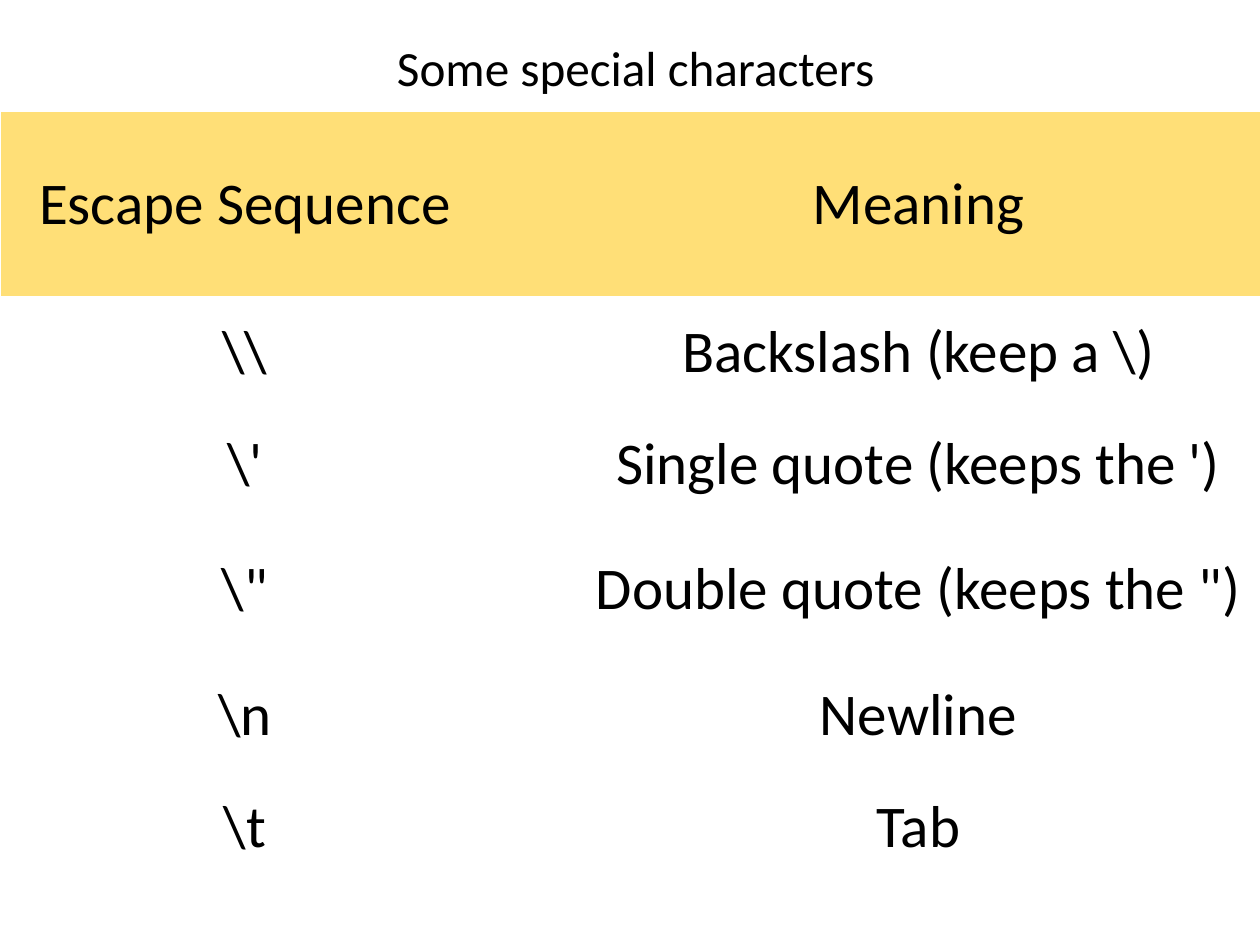
"""Build a slide with a table of escape sequences and their meanings."""
from dataclasses import dataclass

from pptx import Presentation
from pptx import util as u
from pptx.dml.color import RGBColor
from pptx.enum import text
from pptx.oxml.ns import qn
from pptx.slide import Slide
from pptx.table import Table, _Cell
from pptx.text.text import TextFrame


@dataclass(frozen=True)
class Theme:
    font: str = "Calibri"
    ink: RGBColor = RGBColor(0, 0, 0)
    header_fill: RGBColor = RGBColor(0xFF, 0xDF, 0x77)
    title_size: int = 40
    table_size: int = 48
    table_spacing: float = 1.02
    plain_table_style: str = "{2D5ABB26-0587-4C30-8999-92F81FD0307C}"


@dataclass(frozen=True)
class EscapeRow:
    sequence: str
    meaning: str
    height: float = 1.26


THEME = Theme()
COLUMN_WIDTHS = (5.51, 9.69)
ROWS = (
    EscapeRow("Escape Sequence", "Meaning", 2.08),
    EscapeRow(r"\\", r"Backslash (keep a \)"),
    EscapeRow(r"\'", "Single quote (keeps the ')"),
    EscapeRow(r'\"', 'Double quote (keeps the ")', 1.57),
    EscapeRow(r"\n", "Newline"),
    EscapeRow(r"\t", "Tab"),
)


def write_centred(frame: TextFrame, words: str, size: int, spacing: float = 1.0) -> None:
    """Write one centred paragraph in the theme font."""
    frame.word_wrap = True
    paragraph = frame.paragraphs[0]
    paragraph.text = words
    paragraph.alignment = text.PP_ALIGN.CENTER
    paragraph.line_spacing = spacing
    paragraph.font.name = THEME.font
    paragraph.font.size = u.Pt(size)
    paragraph.font.color.rgb = THEME.ink


def add_title(slide: Slide, words: str) -> None:
    """Add the slide title, centred in its box."""
    box = slide.shapes.add_textbox(u.Inches(1.3), u.Inches(-0.7), u.Inches(11.75), u.Inches(2.9))
    box.text_frame.vertical_anchor = text.MSO_ANCHOR.MIDDLE
    write_centred(box.text_frame, words, THEME.title_size)
    box.text_frame.paragraphs[0].space_after = u.Pt(2)


def fill_cell(cell: _Cell, words: str, is_header: bool) -> None:
    """Write one table cell and colour it if it is a header."""
    cell.vertical_anchor = text.MSO_ANCHOR.MIDDLE
    if is_header:
        cell.fill.solid()
        cell.fill.fore_color.rgb = THEME.header_fill
    else:
        cell.fill.background()
    write_centred(cell.text_frame, words, THEME.table_size, THEME.table_spacing)


def add_escape_table(slide: Slide) -> Table:
    """Add the table of escape sequences without borders or banding."""
    height = sum(row.height for row in ROWS)
    frame = slide.shapes.add_table(
        len(ROWS), len(COLUMN_WIDTHS), u.Inches(0.01), u.Inches(1.26),
        u.Inches(sum(COLUMN_WIDTHS)), u.Inches(height))
    table = frame.table
    table.horz_banding = False
    table._tbl.tblPr.find(qn("a:tableStyleId")).text = THEME.plain_table_style
    for column, width in zip(table.columns, COLUMN_WIDTHS):
        column.width = u.Inches(width)
    for index, row in enumerate(ROWS):
        table.rows[index].height = u.Inches(row.height)
        for cell, words in zip(table.rows[index].cells, (row.sequence, row.meaning)):
            fill_cell(cell, words, is_header=index == 0)
    return table


def main() -> None:
    """Build and save the presentation."""
    presentation = Presentation()
    presentation.slide_width = u.Inches(14.22)
    presentation.slide_height = u.Inches(10.66)
    slide = presentation.slides.add_slide(presentation.slide_layouts[6])
    add_title(slide, "Some special characters")
    add_escape_table(slide)
    presentation.save("out.pptx")


if __name__ == "__main__":
    main()
